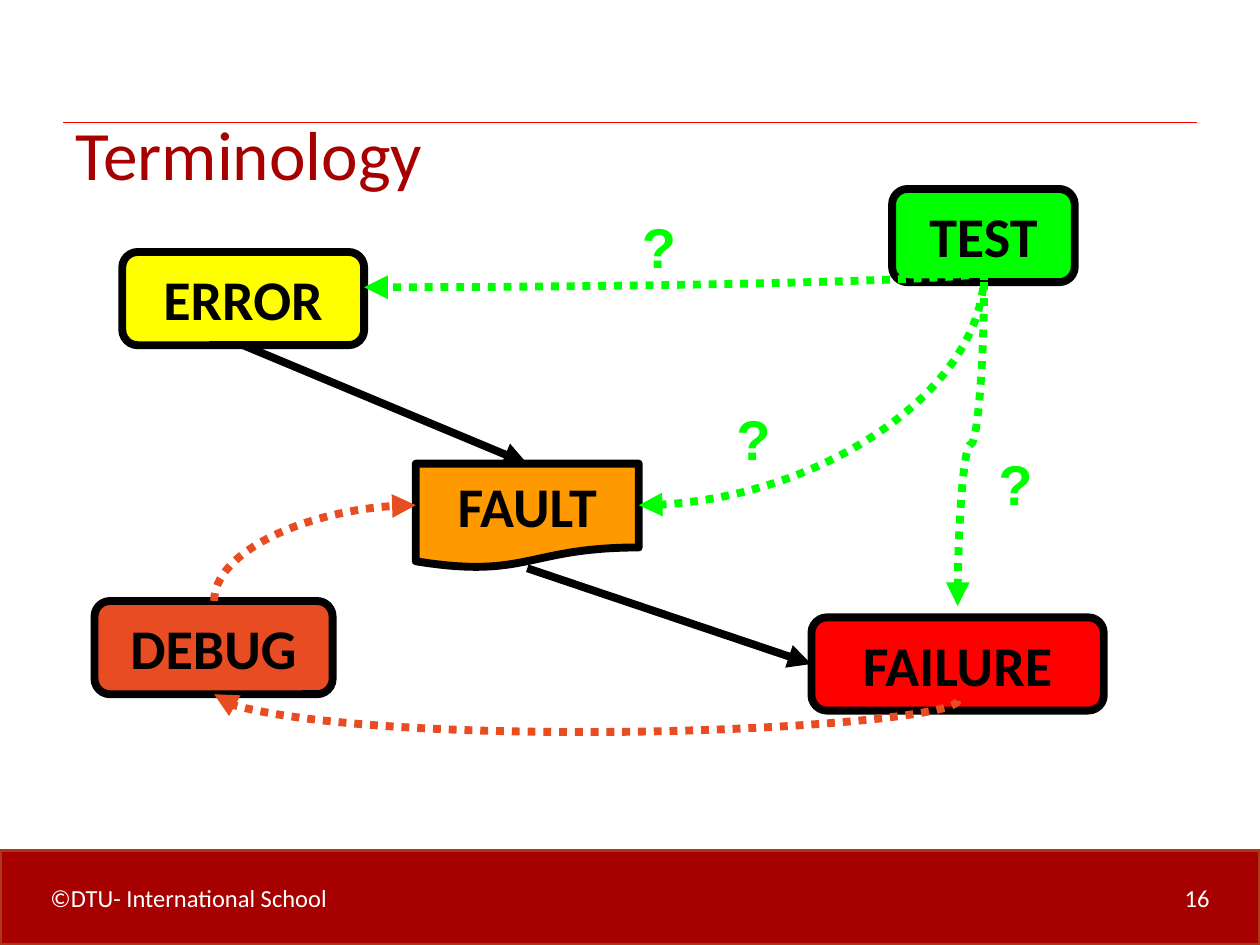
from lxml import etree
from pptx import Presentation
from pptx.dml.color import RGBColor
from pptx.enum.dml import MSO_LINE
from pptx.enum.shapes import MSO_CONNECTOR, MSO_SHAPE
from pptx.enum.text import MSO_ANCHOR, PP_ALIGN
from pptx.oxml.ns import qn
from pptx.util import Inches, Pt

ROUNDED, DOCUMENT = MSO_SHAPE.FLOWCHART_ALTERNATE_PROCESS, MSO_SHAPE.FLOWCHART_DOCUMENT
RECTANGLE = MSO_SHAPE.RECTANGLE
STRAIGHT, CURVE = MSO_CONNECTOR.STRAIGHT, MSO_CONNECTOR.CURVE
DOTTED = MSO_LINE.ROUND_DOT
LEFT, CENTER = PP_ALIGN.LEFT, PP_ALIGN.CENTER
MIDDLE = MSO_ANCHOR.MIDDLE
TOP_SIDE, LEFT_SIDE, BOTTOM_SIDE = 0, 1, 2

BLACK = RGBColor(0x00, 0x00, 0x00)
WHITE = RGBColor(0xFF, 0xFF, 0xFF)
DARK_RED = RGBColor(0xA6, 0x00, 0x00)
RUST = RGBColor(0xAC, 0x38, 0x19)
RED = RGBColor(0xFF, 0x00, 0x00)
YELLOW = RGBColor(0xFF, 0xFF, 0x00)
AMBER = RGBColor(0xFF, 0x99, 0x00)
GREEN = RGBColor(0x00, 0xFF, 0x00)
ORANGE = RGBColor(0xE8, 0x4C, 0x22)

prs = Presentation()
prs.slide_width, prs.slide_height = Inches(10), Inches(7.5)
CELL = prs.slide_width / 100  # grid of 100 columns by 75 rows
slide = prs.slides.add_slide(prs.slide_layouts[5])
shapes = slide.shapes


def grid(*cells):
    return [round(c * CELL) for c in cells]


def write(shape, text, size=32, color=BLACK, font="Calibri", bold=False,
          align=CENTER, wrap=True, tab=None):
    frame = shape.text_frame
    frame.word_wrap, frame.vertical_anchor = wrap, MIDDLE
    paragraph = frame.paragraphs[0]
    paragraph.text, paragraph.alignment = text, align
    if tab:
        tabs = etree.SubElement(paragraph._p.get_or_add_pPr(), qn("a:tabLst"))
        etree.SubElement(tabs, qn("a:tab"), pos=str(tab), algn="r")
    style = paragraph.runs[0].font
    style.name, style.size, style.bold = font, Pt(size), bold
    style.color.rgb = color


# Footer band
footer = shapes.add_shape(RECTANGLE, *grid(0, 67.5, 100, 7.5))
footer.shadow.inherit = False
footer.fill.solid()
footer.fill.fore_color.rgb = DARK_RED
footer.line.color.rgb, footer.line.width = RUST, Pt(2)
frame = footer.text_frame
frame.margin_left, frame.margin_right = grid(4, 3.9)
write(footer, "©DTU- International School\t16", size=14, color=WHITE,
      align=LEFT, tab=grid(92)[0])

# Title
title = shapes.title
title.left, title.top, title.width, title.height = grid(5, 8.1, 90, 8)
write(title, "Terminology", size=39.6, color=DARK_RED, align=LEFT)

# Concept boxes
boxes = {}
for label, outline, color, place in [
    ("ERROR", ROUNDED, YELLOW, (9.7, 20, 19.2, 7.4)),
    ("FAILURE", ROUNDED, RED, (64.4, 49, 23.2, 7.4)),
    ("FAULT", DOCUMENT, AMBER, (33, 36.8, 17.7, 8.3)),
    ("TEST", ROUNDED, GREEN, (70.8, 15, 14.5, 7.4)),
    ("DEBUG", ROUNDED, ORANGE, (7.5, 47.7, 18.9, 7.4)),
]:
    box = boxes[label] = shapes.add_shape(outline, *grid(*place))
    box.shadow.inherit = False
    box.fill.solid()
    box.fill.fore_color.rgb = color
    box.line.color.rgb, box.line.width = BLACK, Pt(4.5)
    write(box, label, bold=True, wrap=False)

# Title rule and straight arrows: line, colour, width, arrowhead
title_rule = shapes.add_connector(STRAIGHT, *grid(5, 9.7, 95, 9.7))
connectors = [(title_rule, RED, 0.75, False)]
for cause, effect, side, ends in [
    ("ERROR", "FAULT", TOP_SIDE, (19.3, 27.7, 41.8, 36.5)),
    ("FAULT", "FAILURE", LEFT_SIDE, (41.8, 45, 64.1, 52.7)),
]:
    arrow = shapes.add_connector(STRAIGHT, *grid(*ends))
    arrow.begin_connect(boxes[cause], BOTTOM_SIDE)
    arrow.end_connect(boxes[effect], side)
    connectors.append((arrow, BLACK, 4.5, True))

# Dotted curves, each leaving vertically: the frame is turned a quarter
for color, (x1, y1), (x2, y2), preset, bend in [
    (GREEN, (78.1, 22.4), (76, 48.1), "curvedConnector3", 0.5),
    (GREEN, (78.1, 21.6), (50.7, 40.1), "curvedConnector2", None),
    (GREEN, (78.1, 21.6), (28.9, 22.8), "curvedConnector2", None),
    (ORANGE, (76, 55.6), (17, 55.1), "curvedConnector3", -5),
    (ORANGE, (17, 47.7), (33, 40.1), "curvedConnector2", None),
]:
    length, breadth = abs(y2 - y1), abs(x2 - x1)
    left, top = (x1 + x2 - length) / 2, (y1 + y2 - breadth) / 2
    curve = shapes.add_connector(
        CURVE, *grid(left, top, left + length, top + breadth))
    transform = curve._element.spPr.find(qn("a:xfrm"))
    transform.set("rot", str(90 * 60000))
    if y2 < y1:
        transform.set("flipH", "1")
    if x2 > x1:
        transform.set("flipV", "1")
    geometry = curve._element.spPr.find(qn("a:prstGeom"))
    geometry.set("prst", preset)
    if bend is not None:
        guides = geometry.find(qn("a:avLst"))
        etree.SubElement(guides, qn("a:gd"), name="adj1",
                         fmla=f"val {round(bend * 100000)}")
    curve.line.dash_style = DOTTED
    connectors.append((curve, color, 4.5, True))

# Line formats
for connector, color, width, pointed in connectors:
    connector.line.color.rgb, connector.line.width = color, Pt(width)
    if pointed:
        etree.SubElement(connector.line._get_or_add_ln(), qn("a:tailEnd"), type="triangle")
    etree.SubElement(connector._element.spPr, qn("a:effectLst"))

# Question marks beside the test curves
for left, top in [(76, 35.2), (55.2, 31.6), (47.7, 16.4)]:
    question = shapes.add_textbox(*grid(left, top, 9.2, 6.3))
    write(question, "?", color=GREEN, font="Arial", bold=True)

prs.save("out.pptx")
